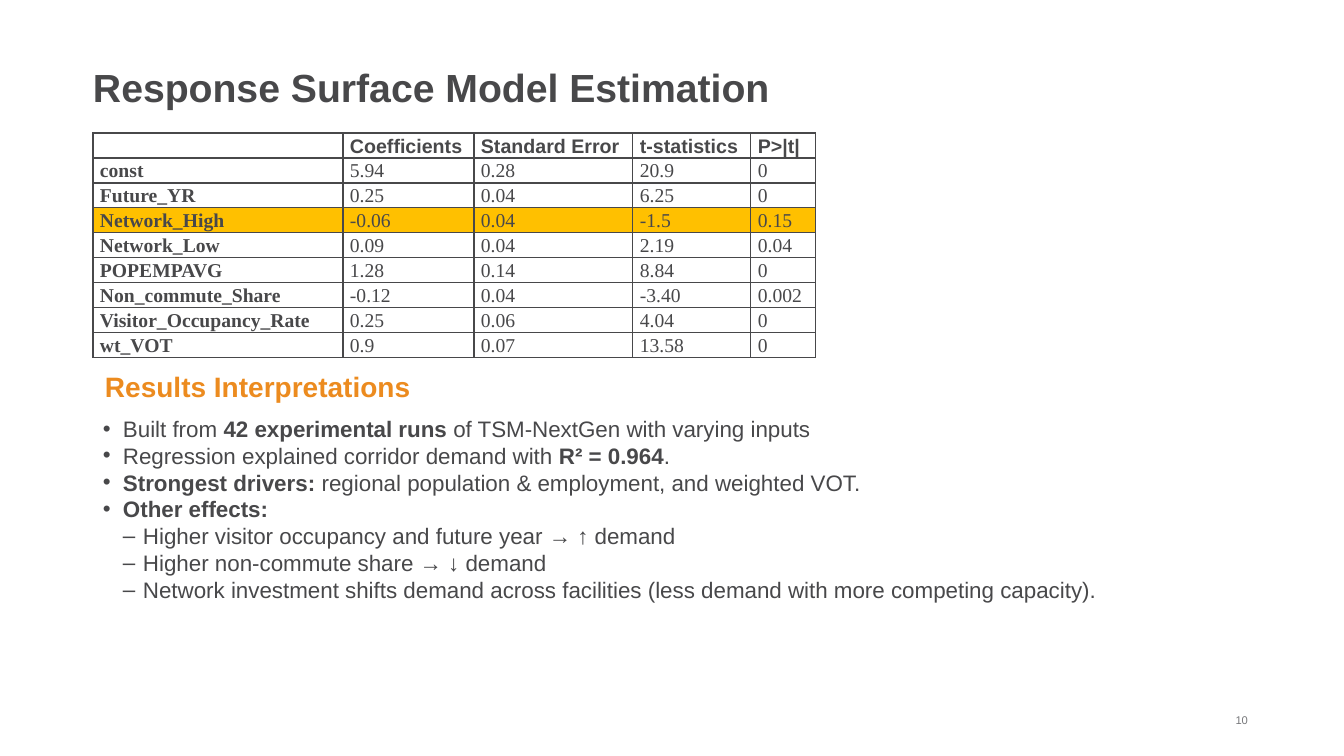
from lxml.etree import SubElement
from pptx import Presentation
from pptx.dml.color import RGBColor
from pptx.enum.text import MSO_ANCHOR, PP_ALIGN
from pptx.oxml.ns import qn
from pptx.util import Pt

SCALE = 914400 / 100.8
INK = "48484A"
ORANGE = "EC8B1F"
GRAY = "77787B"
HIGHLIGHT = "FFC000"
SANS = "Arial"
SERIF = "Times New Roman"

COLUMN_WIDTHS = [250, 131, 159, 118, 65]
ROW_HEIGHT = 25
ESTIMATES = [
    ["", "Coefficients", "Standard Error", "t-statistics", "P>|t|"],
    ["const", "5.94", "0.28", "20.9", "0"],
    ["Future_YR", "0.25", "0.04", "6.25", "0"],
    ["Network_High", "-0.06", "0.04", "-1.5", "0.15"],
    ["Network_Low", "0.09", "0.04", "2.19", "0.04"],
    ["POPEMPAVG", "1.28", "0.14", "8.84", "0"],
    ["Non_commute_Share", "-0.12", "0.04", "-3.40", "0.002"],
    ["Visitor_Occupancy_Rate", "0.25", "0.06", "4.04", "0"],
    ["wt_VOT", "0.9", "0.07", "13.58", "0"],
]
FINDINGS = [
    (0, ["Built from ", "42 experimental runs", " of TSM-NextGen with varying inputs"]),
    (0, ["Regression explained corridor demand with ", "R² = 0.964", "."]),
    (0, ["", "Strongest drivers:", " regional population & employment, and weighted VOT."]),
    (0, ["", "Other effects:"]),
    (1, ["Higher visitor occupancy and future year → ↑ demand"]),
    (1, ["Higher non-commute share → ↓ demand"]),
    (1, ["Network investment shifts demand across facilities "
         "(less demand with more competing capacity)."]),
]


def px(length):
    return round(length * SCALE)


def color(value):
    return RGBColor.from_string(value)


def format_font(font, size, ink=INK, bold=False, name=SANS):
    font.size = Pt(size)
    font.name = name
    font.bold = bold
    font.color.rgb = color(ink)


def place(shape, left, top, width, height):
    shape.left, shape.top = px(left), px(top)
    shape.width, shape.height = px(width), px(height)


def set_frame(frame, side, anchor):
    frame.word_wrap = True
    frame.margin_left = frame.margin_right = px(side)
    frame.margin_top = frame.margin_bottom = px(5)
    frame.vertical_anchor = anchor


def add_title(page, text):
    title = page.shapes.title
    place(title, 93, 63, 1159, 54)
    frame = title.text_frame
    set_frame(frame, 0, MSO_ANCHOR.MIDDLE)
    frame.text = text
    para = frame.paragraphs[0]
    para.alignment = PP_ALIGN.LEFT
    para.line_spacing = 0.9
    format_font(para.runs[0].font, 28, bold=True)


def add_box(page, bounds, side=0, anchor=MSO_ANCHOR.TOP):
    box = page.shapes.add_textbox(*map(px, bounds))
    set_frame(box.text_frame, side, anchor)
    return box.text_frame


def add_label(page, bounds, text, size, ink, bold=False, side=0,
              anchor=MSO_ANCHOR.TOP, align=PP_ALIGN.LEFT):
    frame = add_box(page, bounds, side, anchor)
    frame.text = text
    para = frame.paragraphs[0]
    para.alignment = align
    format_font(para.runs[0].font, size, ink, bold)


def set_bullet(para, level):
    properties = para._p.get_or_add_pPr()
    properties.set("marL", str(px(20 * (level + 1))))
    properties.set("indent", str(px(-20)))
    SubElement(properties, qn("a:buFont"), typeface=SANS)
    SubElement(properties, qn("a:buChar"), char="•–"[level])


def add_findings(page, bounds):
    frame = add_box(page, bounds, 10)
    for index, (level, pieces) in enumerate(FINDINGS):
        para = frame.add_paragraph() if index else frame.paragraphs[0]
        para.level = level
        set_bullet(para, level)
        for position, piece in enumerate(pieces):
            if piece:
                span = para.add_run()
                span.text = piece
                format_font(span.font, 16, bold=position == 1)


def set_borders(cell):
    properties = cell._tc.get_or_add_tcPr()
    for side in ("a:lnL", "a:lnR", "a:lnT", "a:lnB"):
        line = SubElement(properties, qn(side), w=str(Pt(1)))
        fill = SubElement(line, qn("a:solidFill"))
        SubElement(fill, qn("a:srgbClr"), val=INK)


def fill_cell(cell, text, bold, name, highlighted):
    cell.margin_left = cell.margin_right = px(7)
    cell.margin_top = cell.margin_bottom = 0
    cell.vertical_anchor = MSO_ANCHOR.MIDDLE
    set_borders(cell)
    if highlighted:
        cell.fill.solid()
        cell.fill.fore_color.rgb = color(HIGHLIGHT)
    else:
        cell.fill.background()
    cell.text_frame.text = text
    para = cell.text_frame.paragraphs[0]
    para.line_spacing = 1.07
    para.space_after = Pt(8)
    for span in para.runs:
        format_font(span.font, 14, bold=bold, name=name)
    if not text:
        SubElement(para._p, qn("a:endParaRPr"), sz="1400")


def add_estimates(page, left, top):
    rows, columns = len(ESTIMATES), len(COLUMN_WIDTHS)
    bounds = (left, top, sum(COLUMN_WIDTHS), rows * ROW_HEIGHT)
    table = page.shapes.add_table(rows, columns, *map(px, bounds)).table
    table.first_row = table.horz_banding = False
    for column, width in zip(table.columns, COLUMN_WIDTHS):
        column.width = px(width)
    for row_index, values in enumerate(ESTIMATES):
        table.rows[row_index].height = px(ROW_HEIGHT)
        for column_index, value in enumerate(values):
            is_header = row_index == 0
            fill_cell(table.cell(row_index, column_index), value,
                      is_header or column_index == 0,
                      SANS if is_header else SERIF,
                      values[0] == "Network_High")


def main():
    deck = Presentation()
    deck.slide_width, deck.slide_height = px(1344), px(756)
    page = deck.slides.add_slide(deck.slide_layouts[5])
    add_title(page, "Response Surface Model Estimation")
    add_estimates(page, 93, 133)
    add_label(page, (105, 364, 552, 44), "Results Interpretations", 20, ORANGE, bold=True)
    add_findings(page, (93, 410, 1159, 229))
    add_label(page, (956, 700, 302, 40), "10", 8, GRAY, side=10,
              anchor=MSO_ANCHOR.MIDDLE, align=PP_ALIGN.RIGHT)
    deck.save("out.pptx")


if __name__ == "__main__":
    main()
